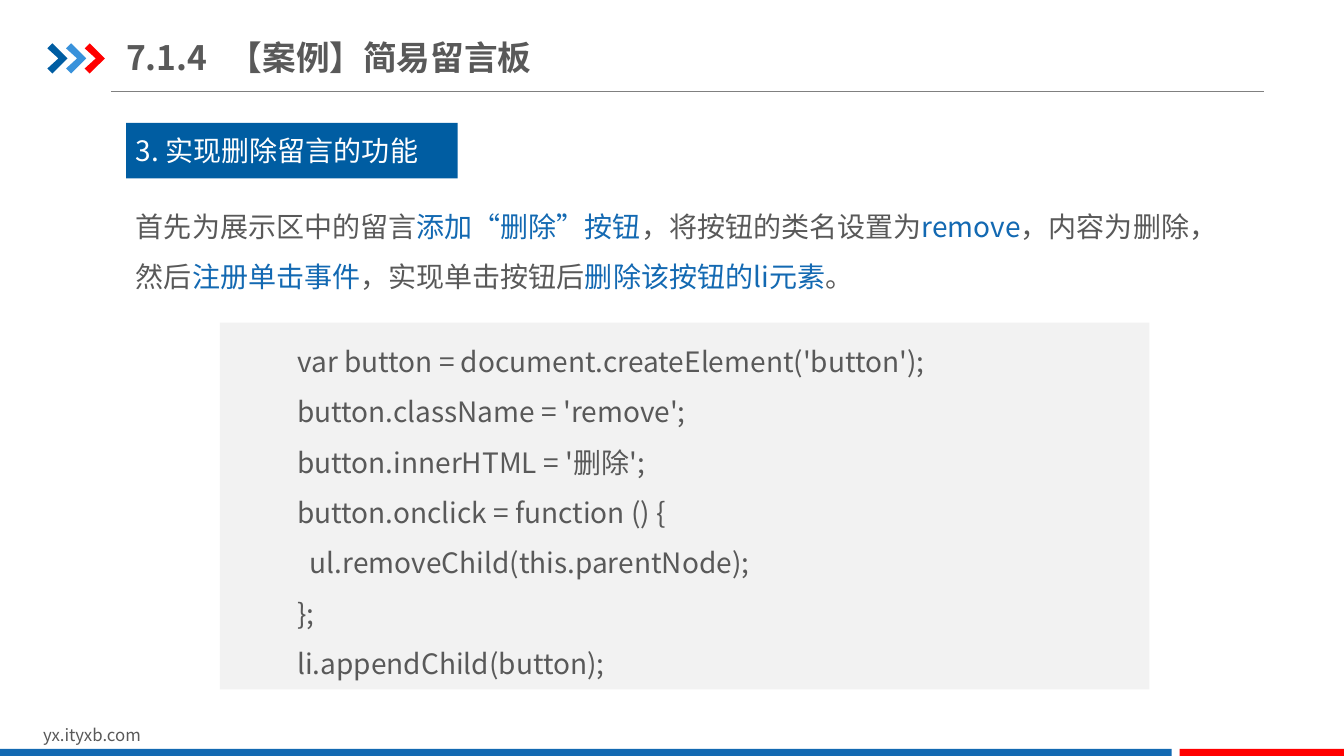
from dataclasses import dataclass

from lxml import etree
from pptx import Presentation
from pptx import util as u
from pptx.dml.color import RGBColor
from pptx.enum import shapes, text
from pptx.oxml import ns


@dataclass(frozen=True)
class Theme:
    font: str = "Noto Sans CJK SC"
    ink: str = "595959"
    white: str = "FFFFFF"
    panel: str = "F2F2F2"
    rule: str = "808080"
    navy: str = "005DA2"
    blue: str = "1369B2"
    sky: str = "3992DB"
    red: str = "FF0000"
    title_size: int = 24
    body_size: int = 20
    footer_size: int = 12


THEME = Theme()

HEADING = "3. 实现删除留言的功能"
EXPLANATION = [
    ("首先为展示区中的留言", THEME.ink),
    ("添加“删除”按钮", THEME.blue),
    ("，将按钮的类名设置为", THEME.ink),
    ("remove", THEME.blue),
    ("，内容为删除，然后", THEME.ink),
    ("注册单击事件", THEME.blue),
    ("，实现单击按钮后", THEME.ink),
    ("删除该按钮的li元素", THEME.blue),
    ("。", THEME.ink),
]
CODE = """var button = document.createElement('button');
button.className = 'remove';
button.innerHTML = '删除';
button.onclick = function () {
  ul.removeChild(this.parentNode);
};
li.appendChild(button);"""


def add_run(paragraph, content, *, size=THEME.body_size, color=THEME.ink, bold=False):
    run = paragraph.add_run()
    run.text = content
    run.font.size = u.Pt(size)
    run.font.bold = bold
    run.font.color.rgb = RGBColor.from_string(color)
    run.font.name = THEME.font
    east_asian = etree.SubElement(run.font._element, ns.qn("a:ea"))
    east_asian.set("typeface", THEME.font)


def format_paragraph(paragraph, *, spacing=None, indent=0, tab=None):
    paragraph.alignment = text.PP_ALIGN.LEFT
    paragraph.line_spacing = spacing
    properties = paragraph._p.get_or_add_pPr()
    if indent:
        properties.set("marL", str(u.Inches(indent)))
        properties.set("indent", "0")
    if tab:
        tabs = etree.SubElement(properties, ns.qn("a:tabLst"))
        etree.SubElement(tabs, ns.qn("a:tab"), pos=str(u.Inches(tab)), algn="l")


def prepare_frame(holder, anchor=text.MSO_ANCHOR.TOP):
    frame = holder.text_frame
    frame.word_wrap = True
    frame.auto_size = text.MSO_AUTO_SIZE.NONE
    frame.vertical_anchor = anchor
    return frame


def paint(shape, color):
    shape.fill.solid()
    shape.fill.fore_color.rgb = RGBColor.from_string(color)
    shape.line.fill.background()
    shape.shadow.inherit = False
    return shape


def add_block(slide, box, color):
    lengths = [u.Inches(value) for value in box]
    return paint(slide.shapes.add_shape(shapes.MSO_SHAPE.RECTANGLE, *lengths), color)


def add_textbox(slide, box):
    return slide.shapes.add_textbox(*[u.Inches(value) for value in box])


def draw_chevrons(slide, box):
    left, top, width, height = box
    mark, step = 0.2, (width - 0.2) / 2
    notch, tail = 0.05, 0.11
    middle = top + height / 2
    for index, color in enumerate((THEME.navy, THEME.sky, THEME.red)):
        x = left + index * step
        outline = [
            (x, top + notch), (x + notch, top), (x + mark, middle),
            (x + notch, top + height), (x, top + height - notch), (x + tail, middle),
        ]
        points = [(u.Inches(px), u.Inches(py)) for px, py in outline]
        builder = slide.shapes.build_freeform(*points[0])
        builder.add_line_segments(points[1:], close=True)
        paint(builder.convert_to_shape(), color)


def draw_header(slide, box):
    left, top, width, height = box
    # Rule under the title
    y = u.Inches(top + height)
    rule = slide.shapes.add_connector(
        shapes.MSO_CONNECTOR.STRAIGHT, u.Inches(left + 0.63), y, u.Inches(left + width), y)
    rule.line.color.rgb = RGBColor.from_string(THEME.rule)
    rule.line.width = u.Pt(0.75)
    etree.SubElement(rule._element.spPr, ns.qn("a:effectLst"))
    draw_chevrons(slide, (left, top + 0.14, 0.57, 0.3))
    # Title
    title = slide.shapes.title
    title.left, title.top = u.Inches(left + 0.78), u.Inches(top)
    title.width, title.height = u.Inches(4.26), u.Inches(0.55)
    frame = prepare_frame(title, text.MSO_ANCHOR.MIDDLE)
    frame.margin_left = frame.margin_right = 0
    frame.margin_top = frame.margin_bottom = u.Inches(0.07)
    paragraph = frame.paragraphs[0]
    format_paragraph(paragraph, tab=1.02)
    add_run(paragraph, "7.1.4\t【案例】简易留言板", size=THEME.title_size, bold=True)


def draw_footer(slide, box):
    left, top, width, height = box
    address = prepare_frame(add_textbox(slide, (left + 0.33, top, 3.18, 0.3)))
    add_run(address.paragraphs[0], "yx.ityxb.com", size=THEME.footer_size)
    # Two-colour strip along the lower edge
    strip, red_width, gap = 0.09, 1.63, 0.08
    y = top + height - strip
    red_left = left + width - red_width
    add_block(slide, (left, y, red_left - gap - left, strip), THEME.blue)
    add_block(slide, (red_left, y, red_width, strip), THEME.red)


def draw_heading(slide, box):
    frame = prepare_frame(add_block(slide, box, THEME.navy), text.MSO_ANCHOR.MIDDLE)
    format_paragraph(frame.paragraphs[0])
    add_run(frame.paragraphs[0], HEADING, color=THEME.white)


def draw_explanation(slide, box):
    paragraph = prepare_frame(add_textbox(slide, box)).paragraphs[0]
    format_paragraph(paragraph, spacing=1.5)
    for content, color in EXPLANATION:
        add_run(paragraph, content, color=color)


def draw_code(slide, box):
    frame = prepare_frame(add_block(slide, box, THEME.panel))
    for index, line in enumerate(CODE.splitlines()):
        paragraph = frame.add_paragraph() if index else frame.paragraphs[0]
        paragraph.level = 1
        format_paragraph(paragraph, spacing=1.5, indent=0.67)
        add_run(paragraph, line)


def main():
    deck = Presentation()
    deck.slide_width, deck.slide_height = u.Inches(13.33), u.Inches(7.5)
    slide = deck.slides.add_slide(deck.slide_layouts[5])
    draw_header(slide, (0.47, 0.29, 12.07, 0.62))
    draw_footer(slide, (0, 7.14, 13.33, 0.38))
    draw_heading(slide, (1.25, 1.22, 3.29, 0.55))
    draw_explanation(slide, (1.25, 1.86, 11.08, 1.11))
    draw_code(slide, (2.18, 3.2, 9.22, 3.64))
    deck.save("out.pptx")


if __name__ == "__main__":
    main()
